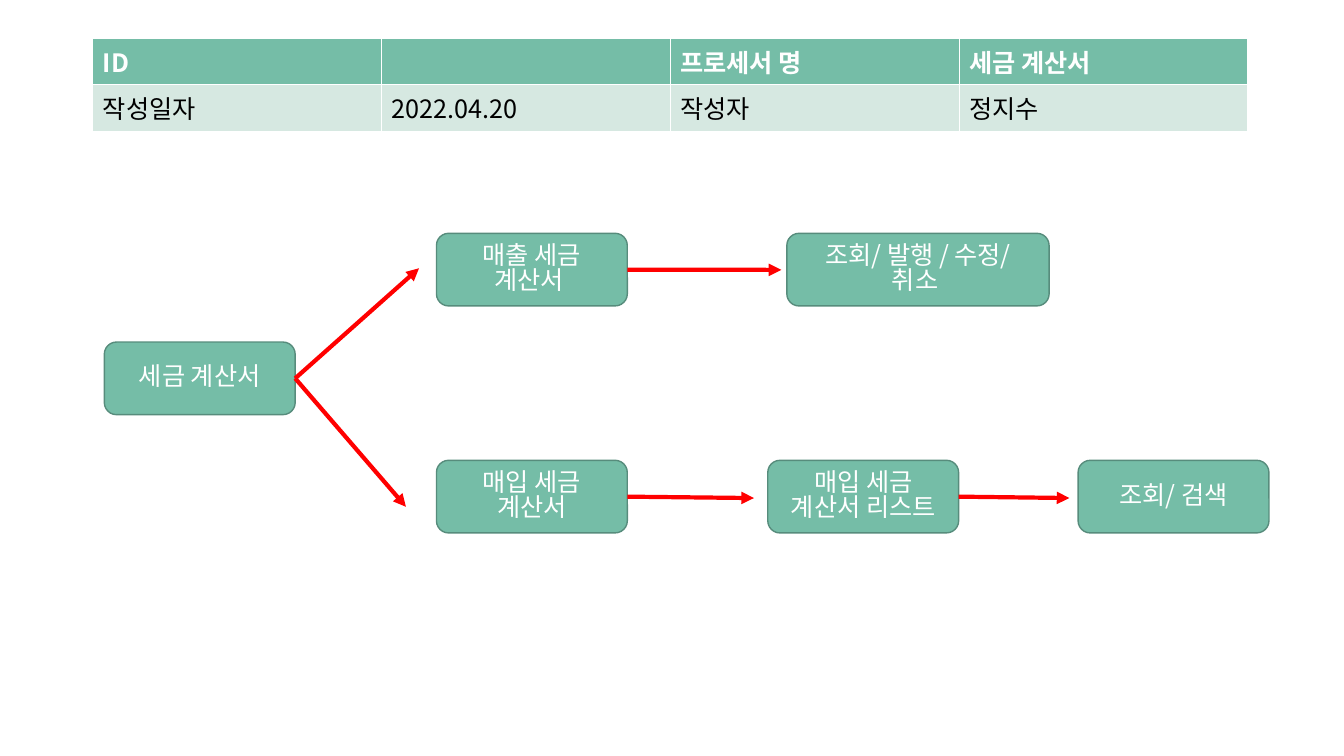
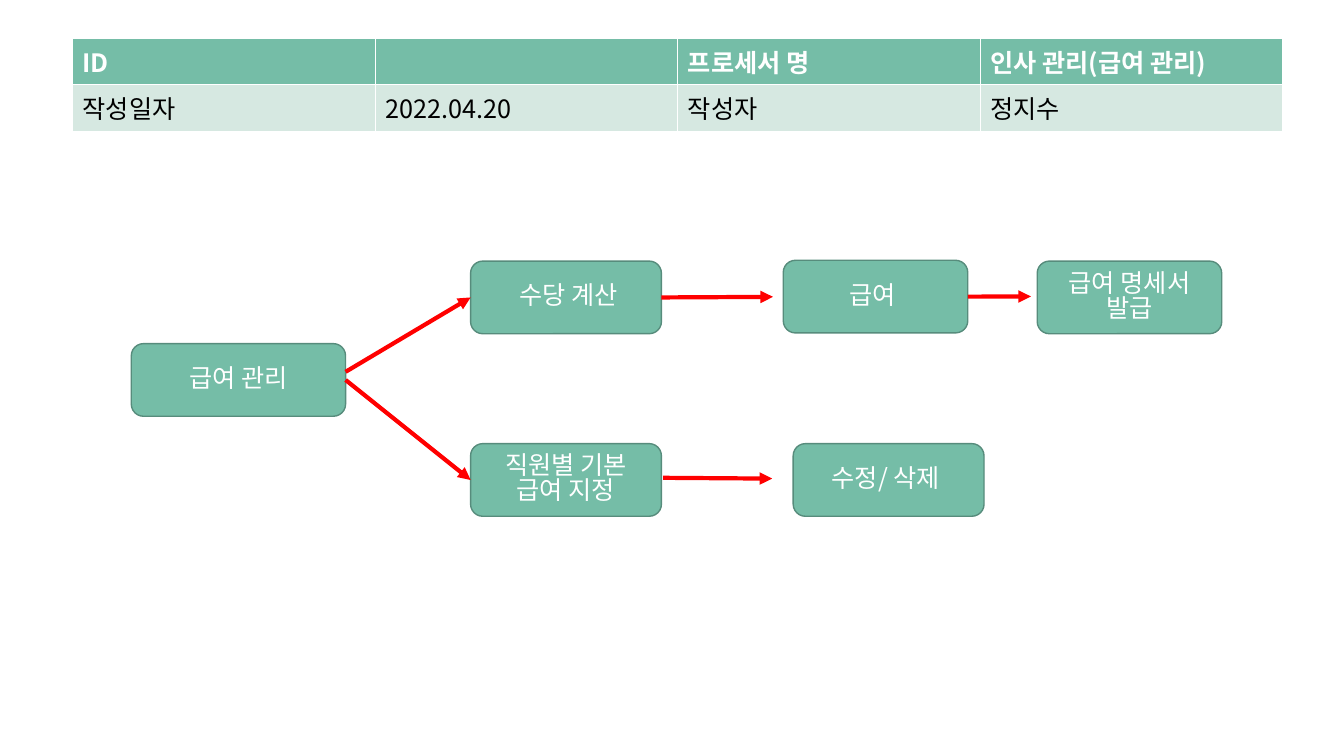
from dataclasses import dataclass

from lxml.etree import SubElement
from pptx import Presentation
from pptx.dml.color import RGBColor
from pptx.enum.shapes import MSO_CONNECTOR, MSO_SHAPE
from pptx.enum.text import MSO_ANCHOR, PP_ALIGN
from pptx.oxml.ns import qn
from pptx.util import Cm, Pt

FONT = "Noto Sans CJK KR"
GREEN = "75BDA7"
DARK_GREEN = "578C7C"
PALE_GREEN = "D6E8E1"
RED = "FF0000"
WHITE = "FFFFFF"
BLACK = "000000"

TABLE_TOP = 0.96
ROW_HEIGHT = 1.17
BOX_HEIGHT = 1.83
BOX_WIDTH = 4.81
LEFT_SIDE, RIGHT_SIDE = 1, 3


@dataclass(frozen=True)
class Box:
    text: str
    left: float
    top: float
    width: float = BOX_WIDTH


@dataclass(frozen=True)
class Arrow:
    """An end is a box name, or a free point in centimetres."""
    start: str | tuple[float, float]
    end: str | tuple[float, float]


@dataclass(frozen=True)
class Process:
    name: str
    table_left: float
    table_width: float
    boxes: dict[str, Box]
    arrows: list[Arrow]


PROCESSES = [
    Process(
        "세금 계산서", 2.34, 29.11,
        {
            "invoice": Box("세금 계산서", 2.63, 8.62),
            "sales": Box("매출 세금 계산서 ", 11.0, 5.88),
            "purchase": Box("매입 세금 계산서", 11.0, 11.6),
            "sales actions": Box("조회/ 발행 / 수정/ 취소 ", 19.83, 5.88, 6.61),
            "purchase list": Box("매입 세금 계산서 리스트", 19.35, 11.6),
            "search": Box("조회/ 검색", 27.17, 11.6),
        },
        [
            Arrow("invoice", (10.56, 6.76)),
            Arrow("invoice", (10.23, 12.77)),
            Arrow("sales", (19.69, 6.8)),
            Arrow("purchase", (19.0, 12.55)),
            Arrow("purchase list", (26.95, 12.55)),
        ],
    ),
    Process(
        "인사 관리(급여 관리)", 1.83, 30.5,
        {
            "payroll": Box("급여 관리", 3.31, 8.66, 5.4),
            "allowance": Box(" 수당 계산", 11.86, 6.58),
            "base pay": Box("직원별 기본 급여 지정", 11.86, 11.18),
            "salary": Box("급여 ", 19.74, 6.56, 4.65),
            "payslip": Box("급여 명세서 발급", 26.14, 6.58, 4.65),
            "edit": Box("수정/ 삭제 ", 19.99, 11.18),
        },
        [
            Arrow((8.71, 9.37), "allowance"),
            Arrow("payroll", "base pay"),
            Arrow("allowance", (19.48, 7.48)),
            Arrow("salary", (25.98, 7.47)),
            Arrow((16.71, 12.04), (19.46, 12.06)),
        ],
    ),
]


def rgb(color: str) -> RGBColor:
    return RGBColor.from_string(color)


def add_text(paragraph, text: str, color: str, bold: bool = False) -> None:
    run = paragraph.add_run()
    run.text = text
    font = run.font
    font.name, font.size, font.bold = FONT, Pt(18), bold
    font.color.rgb = rgb(color)
    SubElement(font._element, qn("a:ea"), typeface=FONT)


def add_borders(cell) -> None:
    properties = cell._tc.get_or_add_tcPr()
    for side in ("lnL", "lnR", "lnT", "lnB"):
        line = SubElement(properties, qn(f"a:{side}"), w=str(Pt(1)))
        fill = SubElement(line, qn("a:solidFill"))
        SubElement(fill, qn("a:srgbClr"), val=WHITE)


def add_header_table(slide, process: Process) -> None:
    rows = [
        ["ID", "", "프로세서 명", process.name],
        ["작성일자", "2022.04.20", "작성자", "정지수"],
    ]
    table = slide.shapes.add_table(
        len(rows), len(rows[0]), Cm(process.table_left), Cm(TABLE_TOP),
        Cm(process.table_width), Cm(ROW_HEIGHT * len(rows))).table
    for row_index, texts in enumerate(rows):
        is_header = row_index == 0
        for column_index, text in enumerate(texts):
            cell = table.cell(row_index, column_index)
            add_borders(cell)
            cell.fill.solid()
            cell.fill.fore_color.rgb = rgb(GREEN if is_header else PALE_GREEN)
            if text:
                add_text(cell.text_frame.paragraphs[0], text,
                         WHITE if is_header else BLACK, is_header)


def add_box(slide, box: Box):
    shape = slide.shapes.add_shape(
        MSO_SHAPE.ROUNDED_RECTANGLE, Cm(box.left), Cm(box.top),
        Cm(box.width), Cm(BOX_HEIGHT))
    shape.shadow.inherit = False
    shape.fill.solid()
    shape.fill.fore_color.rgb = rgb(GREEN)
    shape.line.color.rgb = rgb(DARK_GREEN)
    shape.line.width = Pt(1)
    frame = shape.text_frame
    frame.word_wrap = True
    frame.vertical_anchor = MSO_ANCHOR.MIDDLE
    paragraph = frame.paragraphs[0]
    paragraph.alignment = PP_ALIGN.CENTER
    paragraph.line_spacing = 0.82
    add_text(paragraph, box.text, WHITE)
    return shape


def add_arrow(slide, arrow: Arrow, shapes: dict) -> None:
    """Join named ends to their boxes; leave points free."""
    start_joined = isinstance(arrow.start, str)
    end_joined = isinstance(arrow.end, str)
    start = (0, 0) if start_joined else arrow.start
    end = (0, 0) if end_joined else arrow.end
    connector = slide.shapes.add_connector(
        MSO_CONNECTOR.STRAIGHT, *(Cm(length) for length in (*start, *end)))
    if start_joined:
        connector.begin_connect(shapes[arrow.start], RIGHT_SIDE)
    if end_joined:
        connector.end_connect(shapes[arrow.end], LEFT_SIDE)
    connector.line.color.rgb = rgb(RED)
    connector.line.width = Pt(3)
    SubElement(connector.line._get_or_add_ln(), qn("a:tailEnd"), type="triangle")
    SubElement(connector._element.spPr, qn("a:effectLst"))


def add_process_slide(presentation, process: Process) -> None:
    slide = presentation.slides.add_slide(presentation.slide_layouts[6])
    add_header_table(slide, process)
    shapes = {name: add_box(slide, box) for name, box in process.boxes.items()}
    for arrow in process.arrows:
        add_arrow(slide, arrow, shapes)


def main() -> None:
    presentation = Presentation()
    presentation.slide_width = Cm(33.87)
    presentation.slide_height = Cm(19.05)
    for process in PROCESSES:
        add_process_slide(presentation, process)
    presentation.save("out.pptx")


if __name__ == "__main__":
    main()
